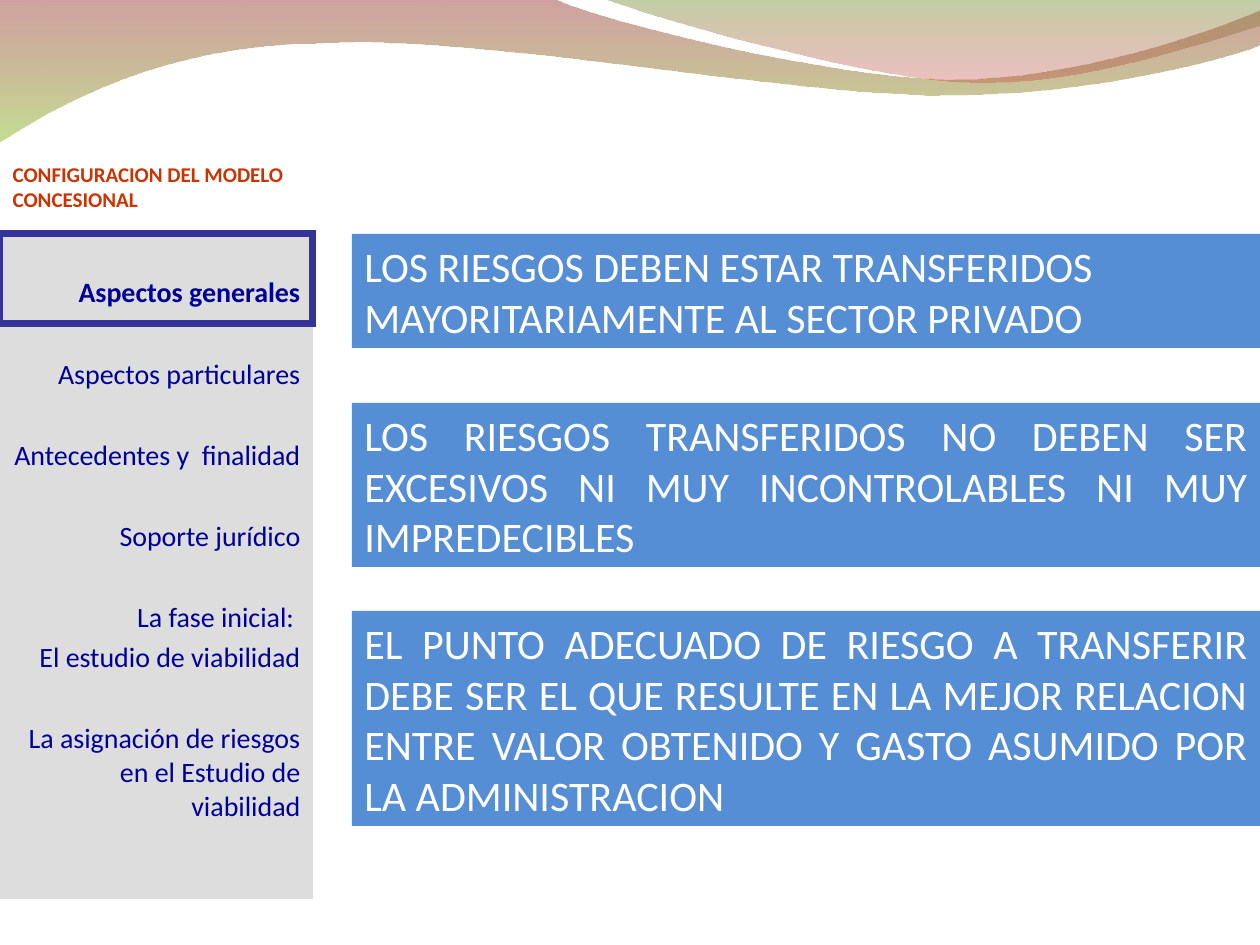
from pptx import Presentation, util as u
from pptx.dml.color import RGBColor
from pptx.enum import shapes, text
from pptx.oxml.ns import qn
from lxml import etree

SCALE = 914400 / 126
FONT = "Calibri"
WHITE = RGBColor(0xFF, 0xFF, 0xFF)
RED = RGBColor(0xCC, 0x33, 0x00)
NAVY = RGBColor(0x00, 0x00, 0x99)
INDIGO = RGBColor(0x33, 0x33, 0x99)
BLUE = RGBColor(0x55, 0x8E, 0xD5)
GREY = RGBColor(0xDD, 0xDD, 0xDD)
ROSE = RGBColor(0x95, 0x30, 0x2E)
LIME = RGBColor(0x95, 0xC2, 0x37)
MOSS = RGBColor(0x74, 0x94, 0x34)
BRICK = RGBColor(0xBD, 0x32, 0x2E)
LEFT, RIGHT, JUST = (text.PP_ALIGN.LEFT, text.PP_ALIGN.RIGHT,
                     text.PP_ALIGN.JUSTIFY)

BACK = [
    [(0, -1)], [(554, -1)],
    [(600, 21), (837, 79), (955, 79)], [(1075, 79), (1207, 33), (1260, 11)],
    [(1261, 45)],
    [(1239, 55), (1096, 96), (940, 95)], [(784, 95), (481, 35), (324, 43)],
    [(163, 44), (58, 105), (-1, 142)],
]
FRONT = [
    [(0, -1)],
    [(37, 14), (255, 78), (365, 82)], [(475, 87), (607, 40), (656, 26)],
    [(656, 0)],
]
WIDE, TIGHT = 27.2, 3.6
TOPICS = [
    ("Aspectos generales", 0),
    ("Aspectos particulares", WIDE),
    ("Antecedentes y  finalidad", WIDE),
    ("Soporte jurídico", WIDE),
    ("La fase inicial: ", WIDE),
    ("El estudio de viabilidad", TIGHT),
    ("La asignación de riesgos en el Estudio de viabilidad", WIDE),
]
CLAIMS = [
    (0, 114, ["LOS RIESGOS DEBEN ESTAR TRANSFERIDOS",
              "MAYORITARIAMENTE AL SECTOR PRIVADO"]),
    (169, 164, ["LOS RIESGOS TRANSFERIDOS NO DEBEN SER EXCESIVOS "
                "NI MUY INCONTROLABLES NI MUY IMPREDECIBLES"]),
    (377, 215, ["EL PUNTO ADECUADO DE RIESGO A TRANSFERIR DEBE SER EL QUE "
                "RESULTE EN LA MEJOR RELACION ENTRE VALOR OBTENIDO Y GASTO "
                "ASUMIDO POR LA ADMINISTRACION"]),
]


def px(n):
    """Turn pixels into EMU."""
    return u.Emu(round(n * SCALE))


def place(slide, shape, x, y, w, h):
    """Bring a placeholder to the front and into the given box."""
    shape.left, shape.top, shape.width, shape.height = map(px, (x, y, w, h))
    slide.shapes._spTree.append(shape._element)


def setup(shape, top=6):
    """Prepare a shape's text frame and return it."""
    frame = shape.text_frame
    frame.word_wrap = True
    frame.auto_size = text.MSO_AUTO_SIZE.NONE
    frame.vertical_anchor = text.MSO_ANCHOR.TOP
    frame.margin_left = frame.margin_right = u.Inches(0.1)
    frame.margin_top, frame.margin_bottom = px(top), px(6)
    return frame


def write(frame, words, first=False, size=16, color=NAVY, bold=False,
          align=LEFT, before=0):
    """Write one formatted paragraph and return it."""
    para = frame.paragraphs[0] if first else frame.add_paragraph()
    para.alignment, para.space_before = align, u.Pt(before)
    run = para.add_run()
    run.text = words
    font = run.font
    font.name, font.size, font.bold = FONT, u.Pt(size), bold
    font.color.rgb = color
    return para


def rect(slide, x, y, w, h):
    """Add a plain rectangle without shadow or line."""
    shape = slide.shapes.add_shape(shapes.MSO_SHAPE.RECTANGLE,
                                   px(x), px(y), px(w), px(h))
    shape.shadow.inherit = False
    shape.line.fill.background()
    return shape


def bend(shape, parts):
    """Turn straight segments into cubic curves where parts have handles."""
    lines = list(shape._element.iter(qn("a:lnTo")))
    for line, part in zip(lines, parts[1:]):
        if len(part) == 3:
            curve = etree.Element(qn("a:cubicBezTo"))
            for x, y in part:
                etree.SubElement(curve, qn("a:pt"), x=str(x - shape.left),
                                 y=str(y - shape.top))
            line.getparent().replace(line, curve)


def wave(slide, x, y, parts, stops):
    """Draw a translucent gradient wave at a corner point."""
    parts = [[(px(x + a), px(y + b)) for a, b in part] for part in parts]
    ends = [part[-1] for part in parts]
    build = slide.shapes.build_freeform(*ends[0])
    build.add_line_segments(ends[1:], close=True)
    shape = build.convert_to_shape()
    bend(shape, parts)
    shape.shadow.inherit = False
    shape.line.fill.background()
    shape.fill.gradient()
    shape.fill.gradient_angle = 270
    for stop, (color, alpha) in zip(shape.fill.gradient_stops, stops):
        stop.color.rgb = color
    tags = list(shape._element.spPr.iter(qn("a:srgbClr")))
    for tag, (color, alpha) in zip(tags, stops):
        etree.SubElement(tag, qn("a:alpha"), val=str(alpha * 1000))


def header(slide, x, y, w, h):
    """Place the section title."""
    title = slide.shapes.title
    place(slide, title, x, y, w, h)
    write(setup(title), "CONFIGURACION DEL MODELO CONCESIONAL", first=True,
          size=12, color=RED, bold=True)


def sidebar(slide, x, y, w, h):
    """Place the topic list and frame its current topic."""
    body = slide.placeholders[1]
    place(slide, body, x, y, w, h)
    body.fill.solid()
    body.fill.fore_color.rgb = GREY
    frame = setup(body, top=41)
    for i, (words, gap) in enumerate(TOPICS):
        para = write(frame, words, first=i == 0, bold=i == 0,
                     align=RIGHT, before=gap)
        props = para._p.get_or_add_pPr()
        props.set("marL", str(px(48)))
        props.set("indent", str(px(-48)))
        etree.SubElement(props, qn("a:buNone"))
    mark = rect(slide, x, y, w, 90)
    mark.fill.background()
    mark.line.color.rgb = INDIGO
    mark.line.width = u.Pt(4)
    etree.SubElement(mark.line._ln, qn("a:miter"), lim="800000")


def claims(slide, x, y, w):
    """Stack the statement boxes in a column."""
    for top, h, lines in CLAIMS:
        box = rect(slide, x, y + top, w, h)
        box.fill.solid()
        box.fill.fore_color.rgb = BLUE
        frame = setup(box, top=7)
        for i, words in enumerate(lines):
            write(frame, words, first=i == 0, size=24, color=WHITE,
                  align=JUST)


def main():
    """Build and save the slide."""
    deck = Presentation()
    deck.slide_width, deck.slide_height = px(1260), px(945)
    slide = deck.slides.add_slide(deck.slide_layouts[1])
    wave(slide, 0, 0, BACK, [(ROSE, 45), (LIME, 55)])
    wave(slide, 604, 0, FRONT, [(MOSS, 45), (BRICK, 30)])
    header(slide, 0, 155, 333, 63)
    claims(slide, 352, 234, 908)
    sidebar(slide, 0, 234, 313, 665)
    deck.save("out.pptx")


if __name__ == "__main__":
    main()
